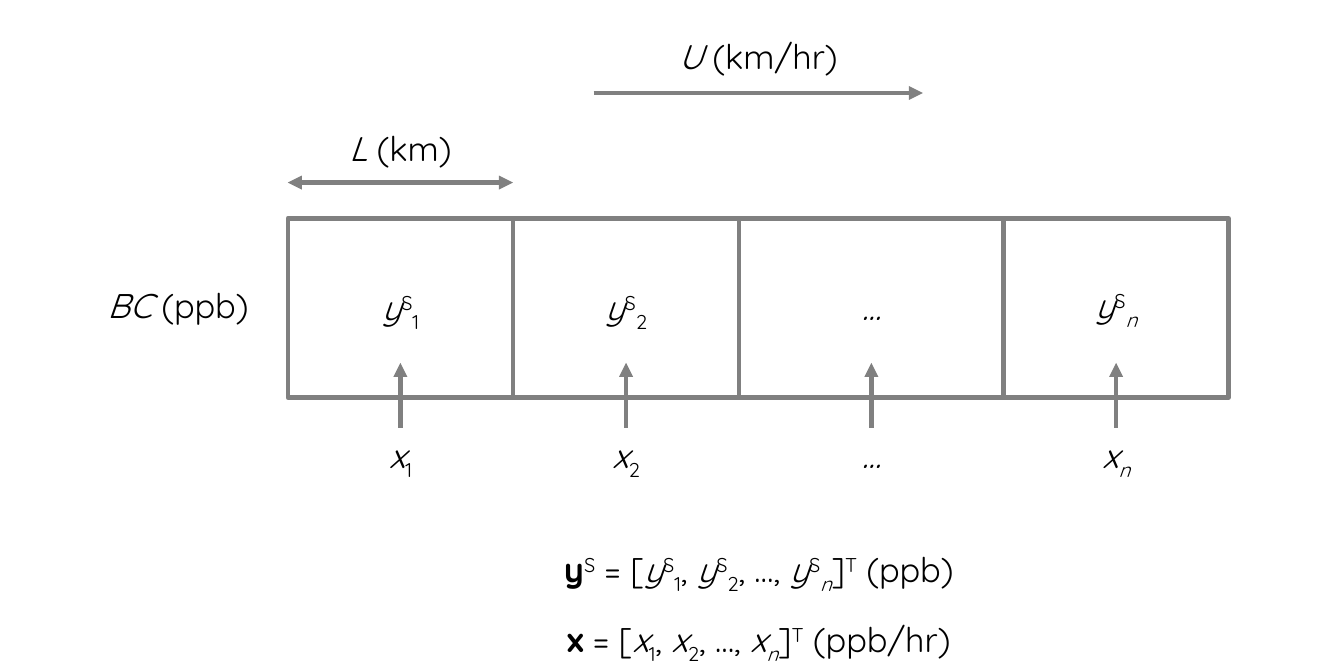
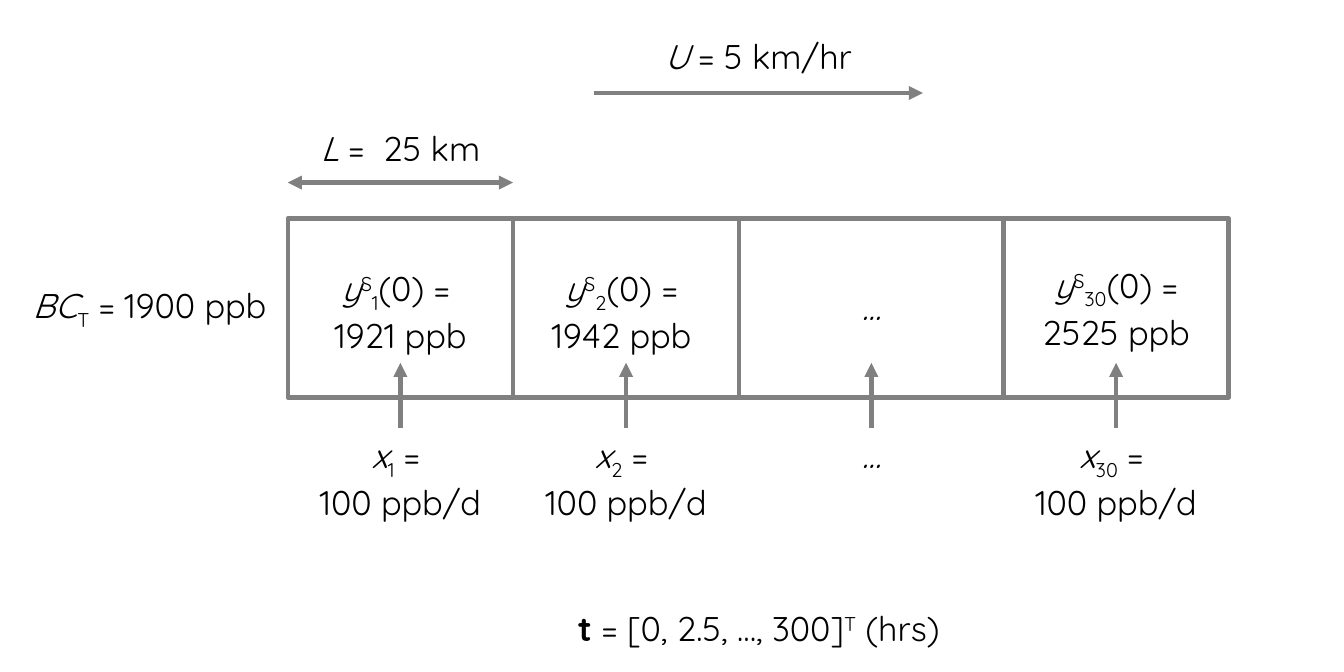
from lxml import etree
from pptx import Presentation
from pptx.dml.color import RGBColor
from pptx.enum.shapes import MSO_CONNECTOR, MSO_SHAPE
from pptx.enum.text import MSO_AUTO_SIZE, PP_ALIGN
from pptx.oxml.ns import qn
from pptx.util import Inches, Pt

RECTANGLE = MSO_SHAPE.RECTANGLE
STRAIGHT = MSO_CONNECTOR.STRAIGHT
FIT_SHAPE = MSO_AUTO_SIZE.SHAPE_TO_FIT_TEXT
CENTER = PP_ALIGN.CENTER

COLORS = {"line": "808080", "cell": "FFFFFF", "text": "000000"}
FONT = "Quicksand"
TEXT_SIZE = 22
LINE_WIDTH = 3
BASELINES = {"sup": "30000", "sub": "-25000"}

GRID_LEFT, GRID_TOP, CELL_HEIGHT = 2.57, 1.95, 1.6
CELL_WIDTHS = [2.01, 2.02, 2.36, 2.01]
GRID_WIDTH = sum(CELL_WIDTHS)
WIND_LENGTH = 2.94
INPUT_TOP = 3.83
EQUATION_BOTTOM = 5.78

# A run is (text, styles); a paragraph is a list of runs.
ELLIPSIS = [[("…", "italic")]]


def x(index, style="sub"):
    return [("x", "italic"), (index, style)]


def y(index, style="sub"):
    return [("y", "italic"), ("S", "sup"), (index, style)]


def quantity(symbol, rest):
    return [[(symbol, "italic"), (rest, "")]]


def vector(name, term, unit):
    """Equation listing the first, second and last term of a column vector."""
    return (name + [(" = [", "")] + term("1") + [(", ", "")] + term("2")
            + [(", …, ", "")] + term("n", "sub italic")
            + [("]", ""), ("T", "sup"), (unit, "")])


def emission(index):
    return [x(index) + [(" = ", "")], [("100 ppb/d", "")]]


def start_value(index, value):
    return [y(index) + [("(0) = ", "")], [(value, "")]]


SLIDES = [
    {
        "wind": quantity("U", " (km/hr)"),
        "length": quantity("L", " (km)"),
        "boundary": (0.61, quantity("BC", " (ppb)")),
        "states": [(2.51, [y("1")]), (2.51, [y("2")]), (2.51, ELLIPSIS),
                   (2.49, [y("n", "sub italic")])],
        "inputs": [[x("1")], [x("2")], ELLIPSIS, [x("n", "sub italic")]],
        "equations": [vector([("y", "bold"), ("S", "sup")], y, " (ppb)"),
                      vector([("x", "bold")], x, " (ppb/hr)")],
    },
    {
        "wind": quantity("U", " = 5 km/hr"),
        "length": quantity("L", " =  25 km"),
        "boundary": (0.1, [[("BC", "italic"), ("T", "sub"), (" = 1900 ppb", "")]]),
        "states": [(2.34, start_value("1", "1921 ppb")),
                   (2.34, start_value("2", "1942 ppb ")),
                   (2.51, ELLIPSIS),
                   (2.31, [y("30") + [("(0) = 2525 ppb", "")]])],
        "inputs": [emission("1"), emission("2"), ELLIPSIS, emission("30")],
        "equations": [[("t", "bold"), (" = [0, 2.5, …, 300]", ""),
                       ("T", "sup"), (" (hrs)", "")]],
    },
]


def color(name):
    return RGBColor.from_string(COLORS[name])


def add_text(slide, left, top, width, paragraphs, line_spacing=None, height=None):
    if height is None:
        height = 0.1 + 0.37 * len(paragraphs)
    box = slide.shapes.add_textbox(Inches(left), Inches(top), Inches(width), Inches(height))
    frame = box.text_frame
    frame.word_wrap = True
    frame.auto_size = FIT_SHAPE
    for number, runs in enumerate(paragraphs):
        paragraph = frame.add_paragraph() if number else frame.paragraphs[0]
        paragraph.alignment = CENTER
        paragraph.line_spacing = line_spacing
        for text, styles in runs:
            run = paragraph.add_run()
            run.text = text
            font = run.font
            font.name, font.size = FONT, Pt(TEXT_SIZE)
            font.color.rgb = color("text")
            font.bold = "bold" in styles
            font.italic = "italic" in styles
            for style, baseline in BASELINES.items():
                if style in styles:
                    run._r.get_or_add_rPr().set("baseline", baseline)


def add_arrow(slide, start, end, both_ends=False):
    arrow = slide.shapes.add_connector(STRAIGHT, *map(Inches, start + end))
    arrow.line.color.rgb = color("line")
    arrow.line.width = Pt(LINE_WIDTH)
    line = arrow.line._get_or_add_ln()
    for tag in ["a:headEnd", "a:tailEnd"] if both_ends else ["a:tailEnd"]:
        etree.SubElement(line, qn(tag), type="triangle")
    etree.SubElement(arrow._element.spPr, qn("a:effectLst"))


def add_cell(slide, left, width):
    cell = slide.shapes.add_shape(RECTANGLE, Inches(left), Inches(GRID_TOP),
                                  Inches(width), Inches(CELL_HEIGHT))
    cell.shadow.inherit = False
    cell.fill.solid()
    cell.fill.fore_color.rgb = color("cell")
    cell.line.color.rgb = color("line")
    cell.line.width = Pt(LINE_WIDTH)


def build_slide(presentation, content):
    slide = presentation.slides.add_slide(presentation.slide_layouts[6])
    lefts = [GRID_LEFT + sum(CELL_WIDTHS[:i]) for i in range(len(CELL_WIDTHS))]
    columns = list(zip(lefts, CELL_WIDTHS))
    for left, width in columns:
        add_cell(slide, left, width)

    for (left, width), (top, state), source in zip(columns, content["states"], content["inputs"]):
        center = left + width / 2
        add_text(slide, left, top, width, state)
        add_text(slide, left, INPUT_TOP, width, source)
        add_arrow(slide, (center, 3.82), (center, 3.24))

    add_text(slide, GRID_LEFT, 0.27, GRID_WIDTH, content["wind"])
    wind_left = GRID_LEFT + (GRID_WIDTH - WIND_LENGTH) / 2
    add_arrow(slide, (wind_left, 0.83), (wind_left + WIND_LENGTH, 0.83))

    add_text(slide, GRID_LEFT, 1.09, CELL_WIDTHS[0], content["length"])
    add_arrow(slide, (GRID_LEFT, 1.63), (GRID_LEFT + CELL_WIDTHS[0], 1.63), both_ends=True)

    boundary_left, boundary = content["boundary"]
    add_text(slide, boundary_left, 2.49, GRID_LEFT - boundary_left, boundary)

    equations = content["equations"]
    height = 0.04 + 0.55 * len(equations)
    add_text(slide, 4.25, EQUATION_BOTTOM - height, 5.05, equations, 1.5, height)


def main():
    presentation = Presentation()
    presentation.slide_width, presentation.slide_height = Inches(12), Inches(6)
    for content in SLIDES:
        build_slide(presentation, content)
    presentation.save("out.pptx")


if __name__ == "__main__":
    main()
